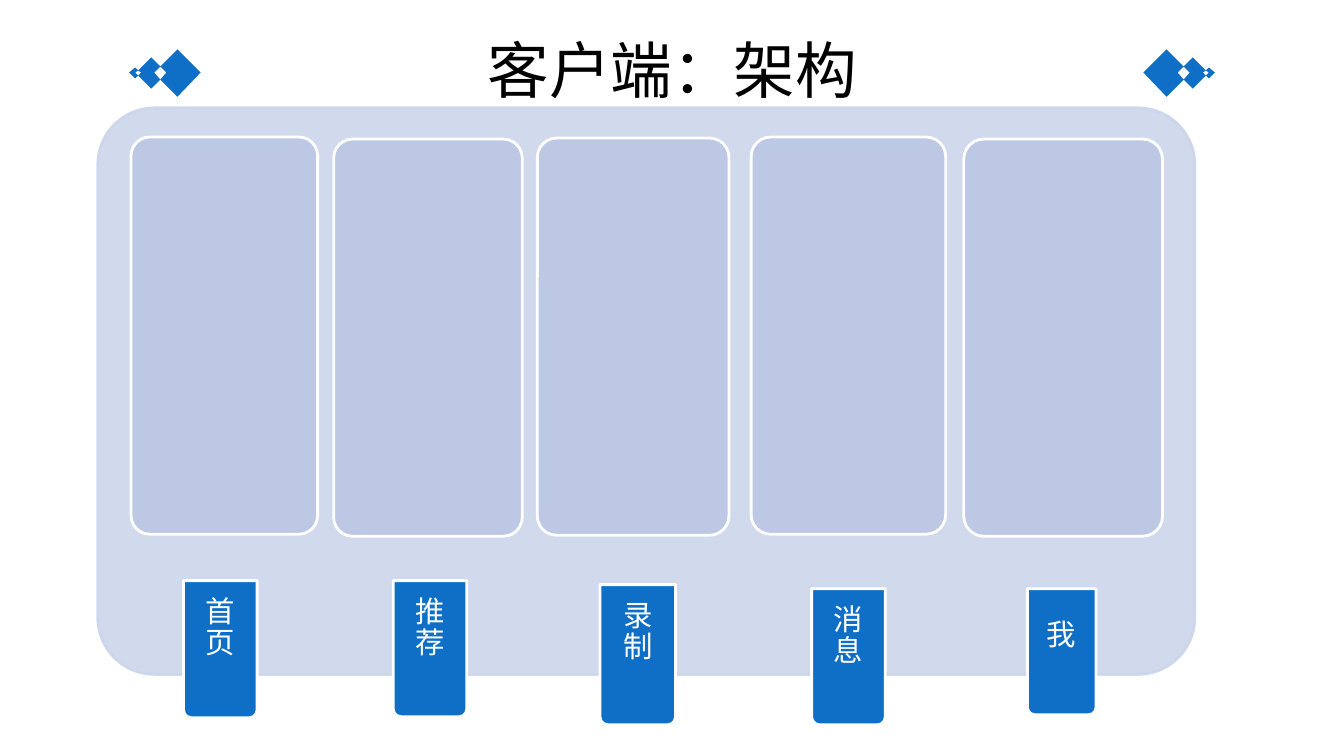
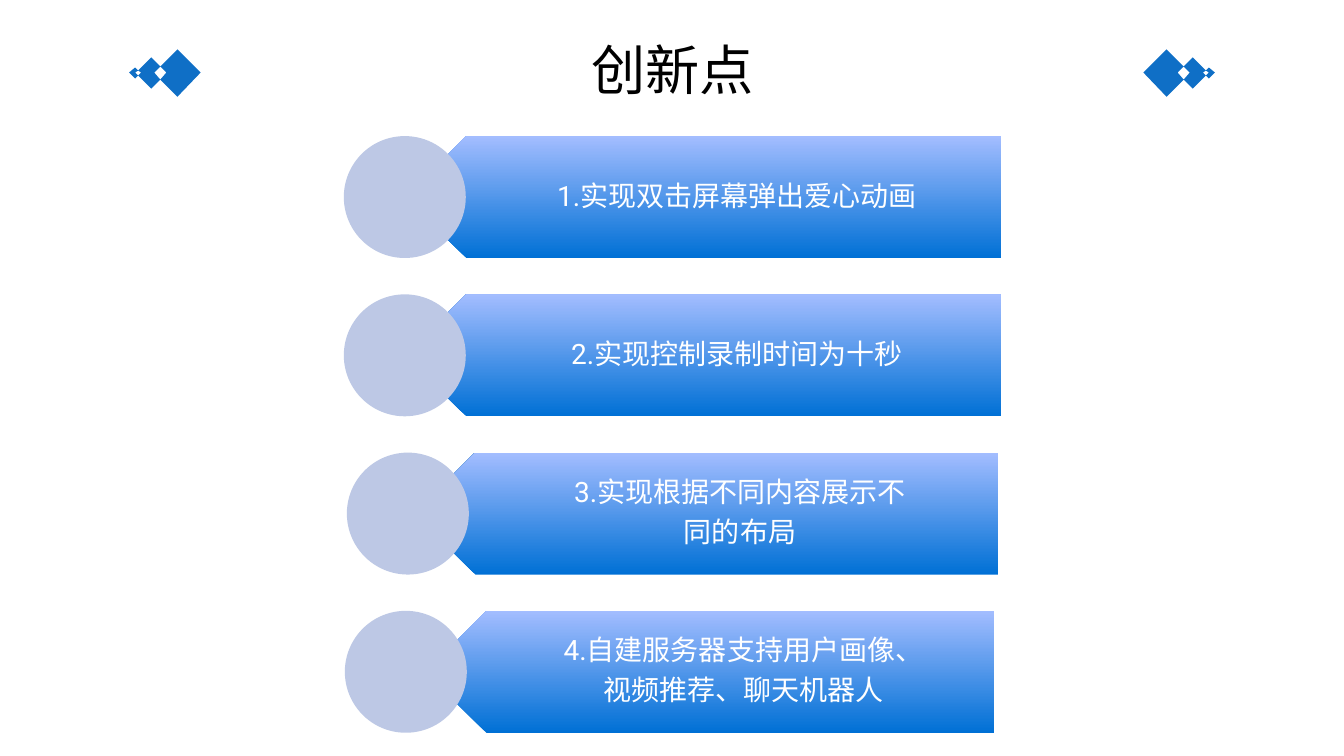
import pptx
import pptx.util
import pptx.dml.color
import pptx.enum.shapes
import pptx.enum.text
import pptx.oxml
import pptx.oxml.ns

SCALE = 9144  # EMU in one px, 100 px to the inch
WIDE, HIGH = 1333, 750
HUES = {
    "white": "FFFFFF",
    "black": "000000",
    "blue": "0F6FC6",
    "panel": "CCD5EA",
    "cell": "BDC8E5",
    "deep": "0070D5",
    "light": "A3BDFF",
}
KIND = pptx.enum.shapes.MSO_SHAPE
ANCHOR = pptx.enum.text.MSO_ANCHOR

# Left chain of diamonds; the right one is its mirror
CHAIN = [
    [(134, 67), (137, 70), (134, 72), (137, 75), (134, 78), (128, 72)],
    [(150, 57), (159, 66), (153, 72), (159, 79), (150, 88), (137, 75),
     (140, 72), (137, 70)],
    [(176, 49), (199, 72), (176, 96), (159, 79), (165, 72), (159, 66)],
]

# Label, cell (left, top, width), tag (left, top, width, height), text inset
TABS = [
    ("首页", (130, 136, 185), (182, 576, 73, 136), 16),
    ("推荐", (331, 138, 187), (390, 576, 73, 135), 16),
    ("录制", (533, 137, 190), (595, 580, 75, 139), 16),
    ("消息", (745, 136, 193), (805, 584, 73, 135), 16),
    ("我", (956, 138, 197), (1019, 584, 68, 125), 47),
]

# Lines, plate left, plate width, disc left
POINTS = [
    (["1.实现双击屏幕弹出爱心动画"], 402, 591, 341),
    (["2.实现控制录制时间为十秒"], 402, 591, 341),
    (["3.实现根据不同内容展示不", "同的布局"], 411, 579, 344),
    (["4.自建服务器支持用户画像、", "视频推荐、聊天机器人"], 422, 564, 342),
]


def px(n):
    return pptx.util.Emu(n * SCALE)


def rgb(name):
    return pptx.dml.color.RGBColor.from_string(HUES[name])


def fade(fill, share):
    """Give a solid fill its opacity in percent."""
    tone = fill._xPr.find(".//" + pptx.oxml.ns.qn("a:srgbClr"))
    alpha = pptx.oxml.parse_xml(
        '<a:alpha %s val="%d"/>' % (pptx.oxml.ns.nsdecls("a"), share * 1000))
    tone.append(alpha)


class Deck:
    def __init__(self):
        self.show = pptx.Presentation()
        self.show.slide_width = px(WIDE)
        self.show.slide_height = px(HIGH)
        self.slide = None

    def start(self, title, size):
        """Add a slide with the shared title and diamond chains."""
        self.slide = self.show.slides.add_slide(self.show.slide_layouts[6])
        self.chain(CHAIN)
        self.chain([[(WIDE - x, y) for x, y in ring] for ring in CHAIN])
        self.text([title], (232, 30, 870, 85), size, "Calibri", "black",
                  (5, 5, 5, 5))

    def paint(self, shape, fill, line=None):
        shape.shadow.inherit = False
        if fill:
            shape.fill.solid()
            shape.fill.fore_color.rgb = rgb(fill)
        if line:
            shape.line.color.rgb = rgb(line)
            shape.line.width = pptx.util.Pt(2)
        else:
            shape.line.fill.background()

    def chain(self, rings):
        pen = None
        for ring in rings:
            if pen is None:
                pen = self.slide.shapes.build_freeform(*ring[0], scale=SCALE)
            else:
                pen.move_to(*ring[0])
            pen.add_line_segments(ring[1:], close=True)
        self.paint(pen.convert_to_shape(), "blue")

    def shape(self, kind, box, fill=None, line=None, adj=()):
        item = self.slide.shapes.add_shape(kind, *map(px, box))
        for i, part in enumerate(adj):
            item.adjustments[i] = part
        self.paint(item, fill, line)
        return item

    def plate(self, box):
        """Add an arrow block that points left, shaded from top to bottom."""
        item = self.shape(KIND.PENTAGON, box)
        item._element.spPr.xfrm.set("flipH", "1")
        item.fill.gradient()
        item.fill.gradient_angle = 90
        for stop, name in zip(item.fill.gradient_stops, ("deep", "light")):
            stop.color.rgb = rgb(name)

    def text(self, lines, box, size, font, hue, pads,
             anchor=ANCHOR.MIDDLE, after=0):
        frame = self.slide.shapes.add_textbox(*map(px, box)).text_frame
        frame.word_wrap = True
        frame.vertical_anchor = anchor
        (frame.margin_left, frame.margin_top,
         frame.margin_right, frame.margin_bottom) = map(px, pads)
        for i, line in enumerate(lines):
            para = frame.add_paragraph() if i else frame.paragraphs[0]
            para.alignment = pptx.enum.text.PP_ALIGN.CENTER
            para.line_spacing = 0.9
            para.space_after = pptx.util.Pt(after)
            run = para.add_run()
            run.text = line
            run.font.size = pptx.util.Pt(size)
            run.font.name = font
            run.font.color.rgb = rgb(hue)


def tabs(deck):
    deck.start("客户端：架构", 44)
    panel = deck.shape(KIND.ROUNDED_RECTANGLE, (97, 107, 1088, 562),
                       "panel", "panel", [0.1])
    fade(panel.fill, 90)
    fade(panel.line.fill, 90)
    for label, cell, tag, inset in TABS:
        deck.shape(KIND.ROUNDED_RECTANGLE, (*cell, 394), "cell", "white",
                   [0.1])
        flap = deck.shape(KIND.ROUND_2_SAME_RECTANGLE, tag, "blue", "white",
                          [0.105, 0])
        flap.rotation = 180
        left, top, width, height = tag
        deck.text([label], (left + 2, top, width - 4, height - 2), 21,
                  "Roboto", "white", (16, inset, 16, 16), ANCHOR.TOP)


def points(deck):
    deck.start("创新点", 38.7)
    side = 121
    for i, (lines, left, width, disc) in enumerate(POINTS):
        top = 135 + 157 * i
        deck.plate((left, top, width, side))
        deck.text(lines, (left + 30, top, width - 30, side), 20, "Roboto",
                  "white", (53, 8, 16, 8), after=7)
        deck.shape(KIND.OVAL, (disc, top, side, side), "cell")


def main():
    deck = Deck()
    tabs(deck)
    points(deck)
    deck.show.save("out.pptx")


if __name__ == "__main__":
    main()
